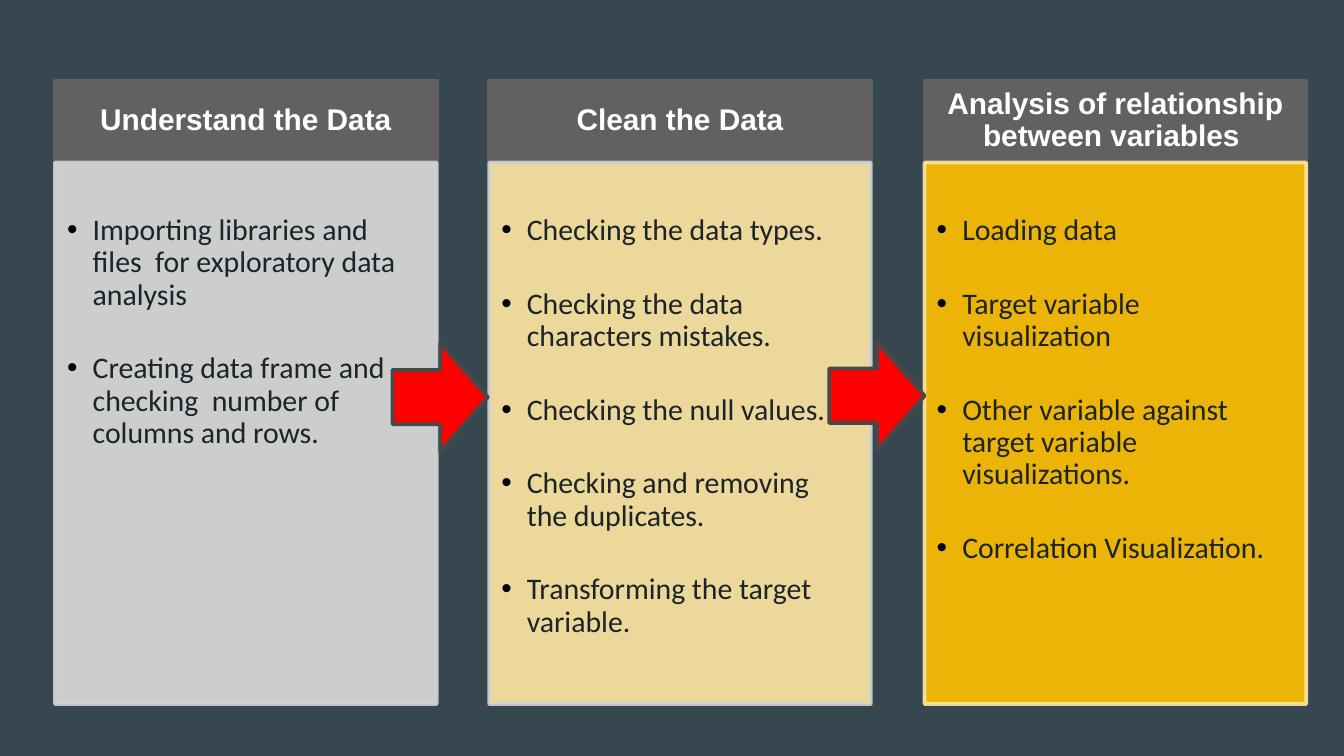
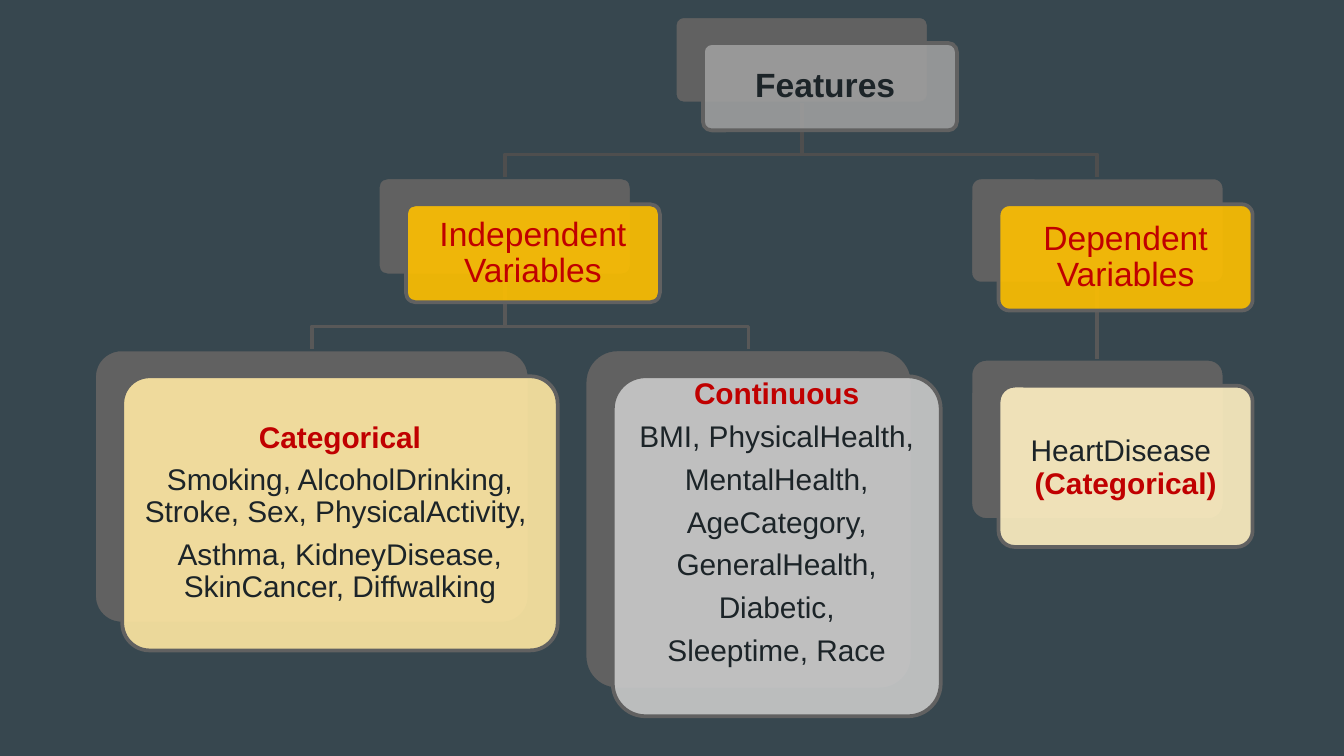
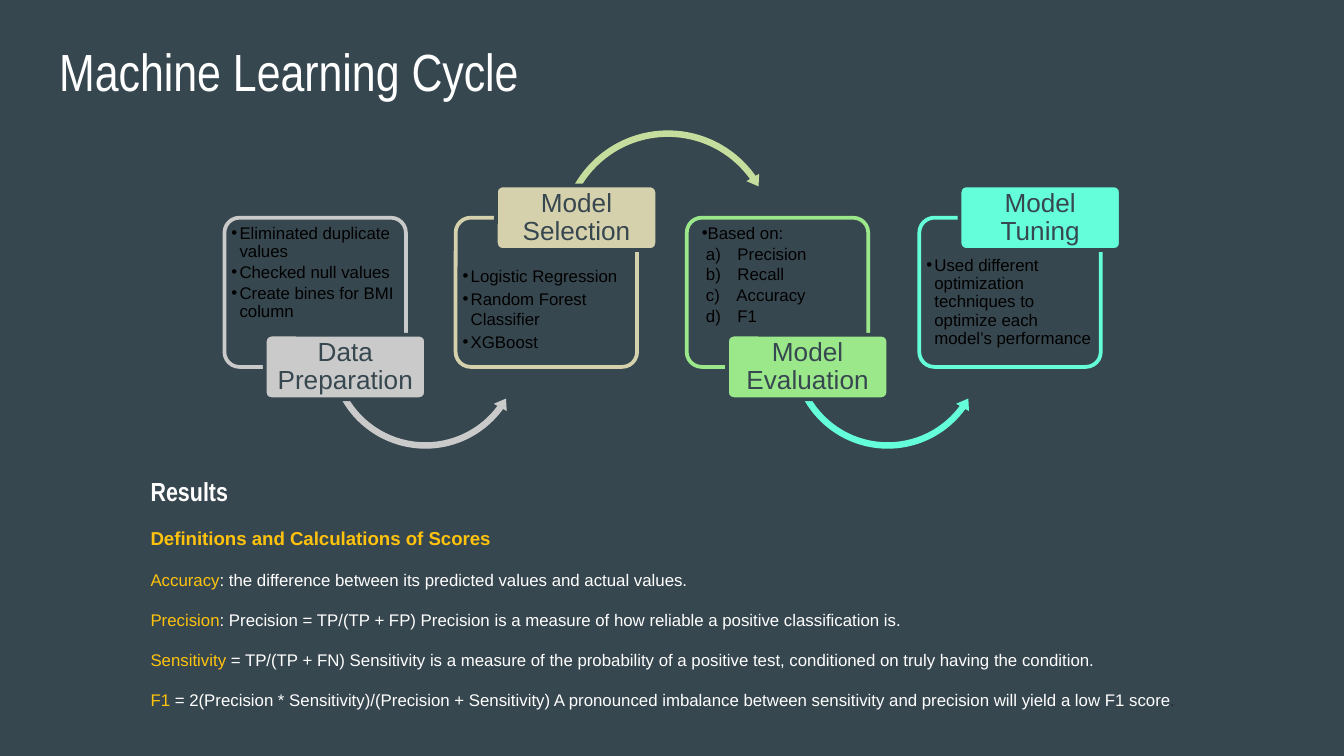
import lxml.etree
import pptx
import pptx.dml.color
import pptx.enum.shapes
import pptx.enum.text
import pptx.oxml.ns
import pptx.util

Inches = pptx.util.Inches
Pt = pptx.util.Pt
RGBColor = pptx.dml.color.RGBColor
SHAPE = pptx.enum.shapes.MSO_SHAPE
ALIGN = pptx.enum.text.PP_ALIGN
ANCHOR = pptx.enum.text.MSO_ANCHOR
qn = pptx.oxml.ns.qn

SLATE = RGBColor(0x37, 0x47, 0x4F)
INK = RGBColor(0x1C, 0x24, 0x28)
WHITE = RGBColor(0xFF, 0xFF, 0xFF)
BLACK = RGBColor(0, 0, 0)
GRAPHITE = RGBColor(0x61, 0x61, 0x61)
TRUNK = RGBColor(0x4E, 0x4E, 0x4E)
BRANCH = RGBColor(0x58, 0x58, 0x58)
ARROW_EDGE = RGBColor(0x48, 0x48, 0x48)
STEEL = RGBColor(0x9E, 0x9E, 0x9E)
SILVER = RGBColor(0xCA, 0xCA, 0xCA)
PALE_EDGE = RGBColor(0xD2, 0xD2, 0xD2)
PALE = RGBColor(0xDC, 0xDC, 0xDC)
AMBER = RGBColor(0xFF, 0xC0, 0x00)
GOLD = RGBColor(0xFF, 0xC3, 0x0D)
CREAM = RGBColor(0xFF, 0xE8, 0xA3)
IVORY = RGBColor(0xFF, 0xF0, 0xC2)
CRIMSON = RGBColor(0xC0, 0, 0)
RED = RGBColor(0xFF, 0, 0)
SAND = RGBColor(0xD6, 0xD1, 0xAD)
LIME = RGBColor(0xC5, 0xDE, 0x9D)
GREEN = RGBColor(0x9B, 0xE8, 0x8B)
AQUA = RGBColor(0x64, 0xFF, 0xDA)
PERIOD = RGBColor(0x24, 0x29, 0x2F)

FILL = qn("a:solidFill")
OUTLINE = qn("a:ln") + "/" + FILL


def add_box(slide, kind, at, fill, line=None):
    """Add a flat preset shape with a 2 pt outline or none."""
    box = slide.shapes.add_shape(kind, *map(Inches, at))
    box.shadow.inherit = False
    box.fill.solid()
    box.fill.fore_color.rgb = fill
    if line is None:
        box.line.fill.background()
    else:
        box.line.color.rgb = line
        box.line.width = Pt(2)
    return box


def add_round_box(slide, at, fill, line):
    """Add a box with slightly rounded corners."""
    box = add_box(slide, SHAPE.ROUNDED_RECTANGLE, at, fill, line)
    box.adjustments[0] = 0.1
    return box


def fade(box, *parts):
    """Make the given colour parts of a box 90 percent opaque."""
    for part in parts:
        color = box.element.spPr.find(part + "/" + qn("a:srgbClr"))
        lxml.etree.SubElement(color, qn("a:alpha")).set("val", "90000")


def set_frame(shape, insets, anchor):
    """Set insets (left, top, right, bottom) and anchoring, and return the frame."""
    frame = shape.text_frame
    frame.word_wrap = True
    frame.auto_size = pptx.enum.text.MSO_AUTO_SIZE.NONE
    frame.vertical_anchor = anchor
    (frame.margin_left, frame.margin_top,
     frame.margin_right, frame.margin_bottom) = map(Inches, insets)
    return frame


def write(frame, paragraphs, font="Arial", align=ALIGN.LEFT, spacing=0.9, after=5.6):
    """Fill a frame with paragraphs of (text, size, colour, bold) runs."""
    for index, runs in enumerate(paragraphs):
        paragraph = frame.add_paragraph() if index else frame.paragraphs[0]
        paragraph.alignment = align
        paragraph.line_spacing = spacing
        paragraph.space_before = Pt(0)
        paragraph.space_after = Pt(after)
        for text, size, color, bold in runs:
            run = paragraph.add_run()
            run.text = text
            run.font.name = font
            run.font.size = Pt(size)
            run.font.color.rgb = color
            run.font.bold = bold


def set_bullet(paragraph, margin, indent, tag="a:buChar", **attributes):
    """Give a paragraph its indents and a black bullet, number or none."""
    properties = paragraph._p.get_or_add_pPr()
    properties.set("marL", str(Inches(margin)))
    properties.set("indent", str(Inches(indent)))
    if tag != "a:buNone":
        color = lxml.etree.SubElement(properties, qn("a:buClr"))
        lxml.etree.SubElement(color, qn("a:srgbClr")).set("val", str(BLACK))
        lxml.etree.SubElement(properties, qn("a:buFont")).set("typeface", "Arial")
    lxml.etree.SubElement(properties, qn(tag), attributes)


def add_step_column(slide, left, heading, items, fill, line):
    """Add a headed column with a bulleted list."""
    header = add_box(slide, SHAPE.RECTANGLE, (left, 0.6, 2.84, 0.6), GRAPHITE, GRAPHITE)
    write(set_frame(header, (0.12, 0.07, 0.12, 0.07), ANCHOR.MIDDLE),
          [[(heading, 16, WHITE, True)]], align=ALIGN.CENTER)
    panel = add_box(slide, SHAPE.RECTANGLE, (left, 1.21, 2.84, 4.03), fill, line)
    fade(panel, FILL, OUTLINE)
    frame = set_frame(panel, (0.09, 0.39, 0.12, 0.14), ANCHOR.TOP)
    write(frame, [[(item, 16, INK, False)] for item in items], "Calibri", after=22.2)
    for paragraph in frame.paragraphs:
        set_bullet(paragraph, 0.19, -0.19, char="•")


def build_steps(slide):
    """Build the three analysis steps joined by arrows."""
    steps = [
        (0.41, "Understand the Data", PALE, PALE_EDGE,
         ["Importing libraries and files  for exploratory data analysis",
          "Creating data frame and checking  number of columns and rows."]),
        (3.64, "Clean the Data", CREAM, PALE_EDGE,
         ["Checking the data types.", "Checking the data characters mistakes.",
          "Checking the null values.", "Checking and removing the duplicates.",
          "Transforming the target variable."]),
        (6.88, "Analysis of relationship between variables ", AMBER, CREAM,
         ["Loading data", "Target variable visualization",
          "Other variable against target variable visualizations.",
          "Correlation Visualization."]),
    ]
    for left, heading, fill, line, items in steps:
        add_step_column(slide, left, heading, items, fill, line)
    for left, top in ((2.92, 2.55), (6.17, 2.54)):
        add_box(slide, SHAPE.RIGHT_ARROW, (left, top, 0.71, 0.81), RED, ARROW_EDGE)


def add_branch(slide, parent, child, color):
    """Draw the line from a parent card down to a child card."""
    start_x, end_x = (card.left + card.width // 2 for card in (parent, child))
    start_y, end_y = parent.top + parent.height, child.top
    if start_x == end_x:
        branch = slide.shapes.add_connector(
            pptx.enum.shapes.MSO_CONNECTOR.STRAIGHT, start_x, start_y, end_x, end_y)
        branch.begin_connect(parent, 2)
        branch.end_connect(child, 0)
        lxml.etree.SubElement(branch.element.spPr, qn("a:effectLst"))
    else:
        bend_y = end_y - Inches(0.17)
        outline = slide.shapes.build_freeform(start_x, start_y)
        outline.add_line_segments(
            [(start_x, bend_y), (end_x, bend_y), (end_x, end_y)], close=False)
        branch = outline.convert_to_shape()
        branch.shadow.inherit = False
        branch.fill.background()
    branch.line.color.rgb = color
    branch.line.width = Pt(2)


def build_feature_tree(slide):
    """Build the tree of features and their variable types."""
    cards = {
        "features": ((5.02, 0.12, 1.89, 0.65), STEEL, [[("Features ", 18, INK, True)]]),
        "independent": ((2.81, 1.32, 1.89, 0.73), AMBER,
                        [[("Independent Variables", 18, CRIMSON, False)]]),
        "categorical": ((0.7, 2.6, 3.24, 2.04), CREAM, [
            [("Categorical", 16, CRIMSON, True)],
            [("Smoking, AlcoholDrinking, Stroke, Sex, PhysicalActivity, ", 16, INK, False)],
            [("Asthma, KidneyDisease, SkinCancer, Diffwalking", 16, INK, False)]]),
        "continuous": ((4.35, 2.6, 2.44, 2.53), SILVER, [
            [("Continuous", 16, CRIMSON, True)],
            *([(name, 16, INK, False)] for name in (
                "BMI, PhysicalHealth,", "MentalHealth,", "AgeCategory,",
                "GeneralHealth,", "Diabetic,", "Sleeptime, Race"))]),
        "dependent": ((7.22, 1.32, 1.89, 0.79), AMBER,
                      [[("Dependent Variables", 18, CRIMSON, False)]]),
        "target": ((7.22, 2.67, 1.89, 1.2), IVORY, [
            [("HeartDisease", 16, INK, False), ("  ", 18, BLACK, False),
             ("(Categorical)", 16, CRIMSON, True)]]),
    }
    branches = [
        ("dependent", "target", BRANCH), ("features", "dependent", TRUNK),
        ("independent", "continuous", BRANCH), ("independent", "categorical", BRANCH),
        ("features", "independent", TRUNK),
    ]
    backs = {name: add_round_box(slide, at, GRAPHITE, SLATE)
             for name, (at, _, _) in cards.items()}
    for parent, child, color in branches:
        add_branch(slide, backs[parent], backs[child], color)
    for name, ((left, top, width, height), fill, paragraphs) in cards.items():
        front = add_round_box(slide, (left + 0.21, top + 0.2, width, height), fill, GRAPHITE)
        fade(front, FILL)
        bottom = 0.41 if name == "continuous" else 0.07
        write(set_frame(front, (0.07, 0.07, 0.07, bottom), ANCHOR.MIDDLE),
              paragraphs, align=ALIGN.CENTER)


def add_cycle_arrow(slide, left, caption_below, color):
    """Add the curved arrow that leads to the next stage."""
    if caption_below:
        kind, top, size = SHAPE.LEFT_CIRCULAR_ARROW, 1.88, 1.49
        turns = (0.032, 3.92, 21.675, 90.245, 0.037)
    else:
        kind, top, size = SHAPE.CIRCULAR_ARROW, 0.94, 1.66
        turns = (0.029, 3.487, 194.758, 125.755, 0.033)
    arrow = add_box(slide, kind, (left, top, size, size), color)
    for index, turn in enumerate(turns):
        arrow.adjustments[index] = turn


def add_stage(slide, left, caption_below, caption, items, color, arrow_color):
    """Add one stage of the cycle: list panel, arrow and caption."""
    panel = add_round_box(slide, (left, 1.62, 1.35, 1.11), SLATE, color)
    fade(panel, FILL)
    insets = (0.02, 0.02, 0.02, 0.25) if caption_below else (0.02, 0.26, 0.02, 0.02)
    centred = caption == "Model Selection"
    frame = set_frame(panel, insets, ANCHOR.MIDDLE if centred else ANCHOR.TOP)
    write(frame, [[(item, 9, BLACK, False)] for item in items],
          spacing=1.0 if centred else 0.9, after=1.4)
    lettered = caption == "Model Evaluation"
    for position, paragraph in enumerate(frame.paragraphs):
        if lettered and position:
            set_bullet(paragraph, 0.29, -0.2, "a:buAutoNum", type="alphaLcParenR")
        else:
            set_bullet(paragraph, 0.06, 0 if lettered else -0.06, char="•")
    if arrow_color is not None:
        add_cycle_arrow(slide, left + 0.75, caption_below, arrow_color)
    label = add_round_box(
        slide, (left + 0.3, 2.49 if caption_below else 1.38, 1.2, 0.48), color, SLATE)
    write(set_frame(label, (0.03, 0.02, 0.03, 0.02), ANCHOR.MIDDLE),
          [[(caption, 14, SLATE, False)]], align=ALIGN.CENTER)


def place(placeholder, at):
    """Move a placeholder to the given place."""
    (placeholder.left, placeholder.top,
     placeholder.width, placeholder.height) = map(Inches, at)


def write_results(results):
    """Fill the body with the score definitions."""
    place(results, (1.02, 3.49, 7.95, 1.87))
    frame = set_frame(results, (0.1, 0.05, 0.1, 0.05), ANCHOR.TOP)
    definitions = [
        ("Accuracy", ": the difference between its predicted values and actual values."),
        ("Precision", ": Precision = TP/(TP + FP) Precision is a measure of how reliable "
                      "a positive classification is."),
        ("Sensitivity", " = TP/(TP + FN) Sensitivity is a measure of the probability of "
                        "a positive test, conditioned on truly having the condition."),
        ("F1 ", "= 2(Precision * Sensitivity)/(Precision + Sensitivity) A pronounced "
                "imbalance between sensitivity and precision will yield a low F1 score"),
    ]
    paragraphs = [[("Results", 14, WHITE, True)],
                  [("Definitions and Calculations of Scores", 10, GOLD, True)]]
    paragraphs += [[(term, 9, GOLD, False), (meaning, 9, WHITE, False)]
                   for term, meaning in definitions]
    paragraphs[-1].append((".", 9, PERIOD, False))
    write(frame, paragraphs, spacing=1.0, after=10.7)
    frame.paragraphs[0].runs[0].font.name = "Arial Narrow"
    for paragraph in frame.paragraphs:
        set_bullet(paragraph, 0, 0, "a:buNone")


def build_cycle(slide):
    """Build the machine learning cycle and the score definitions."""
    title, results = slide.placeholders
    write_results(results)
    place(title, (0.34, 0.4, 9.32, 0.46))
    write(set_frame(title, (0.1, 0.1, 0.1, 0.1), ANCHOR.BOTTOM),
          [[("Machine Learning Cycle", 28, WHITE, False)]],
          "Arial Narrow", spacing=1.0, after=0)
    stages = [
        (1.67, "Data Preparation", SILVER, SILVER,
         ["Eliminated duplicate values", "Checked null values",
          "Create bines for BMI column"]),
        (3.39, "Model Selection", SAND, LIME,
         ["Logistic Regression", "Random Forest Classifier", "XGBoost"]),
        (5.11, "Model Evaluation", GREEN, AQUA,
         ["Based on:", " Precision", " Recall", " Accuracy", " F1"]),
        (6.84, "Model Tuning", AQUA, None,
         ["Used different optimization techniques to optimize each model’s performance"]),
    ]
    for index, (left, caption, color, arrow_color, items) in enumerate(stages):
        add_stage(slide, left, index % 2 == 0, caption, items, color, arrow_color)


def main():
    """Build the three slides and save them."""
    deck = pptx.Presentation()
    deck.slide_width = Inches(10)
    deck.slide_height = deck.slide_width * 9 // 16
    backdrop = deck.slide_master.background.fill
    backdrop.solid()
    backdrop.fore_color.rgb = SLATE
    blank, titled = deck.slide_layouts[6], deck.slide_layouts[1]
    build_steps(deck.slides.add_slide(blank))
    build_feature_tree(deck.slides.add_slide(blank))
    build_cycle(deck.slides.add_slide(titled))
    deck.save("out.pptx")


if __name__ == "__main__":
    main()
